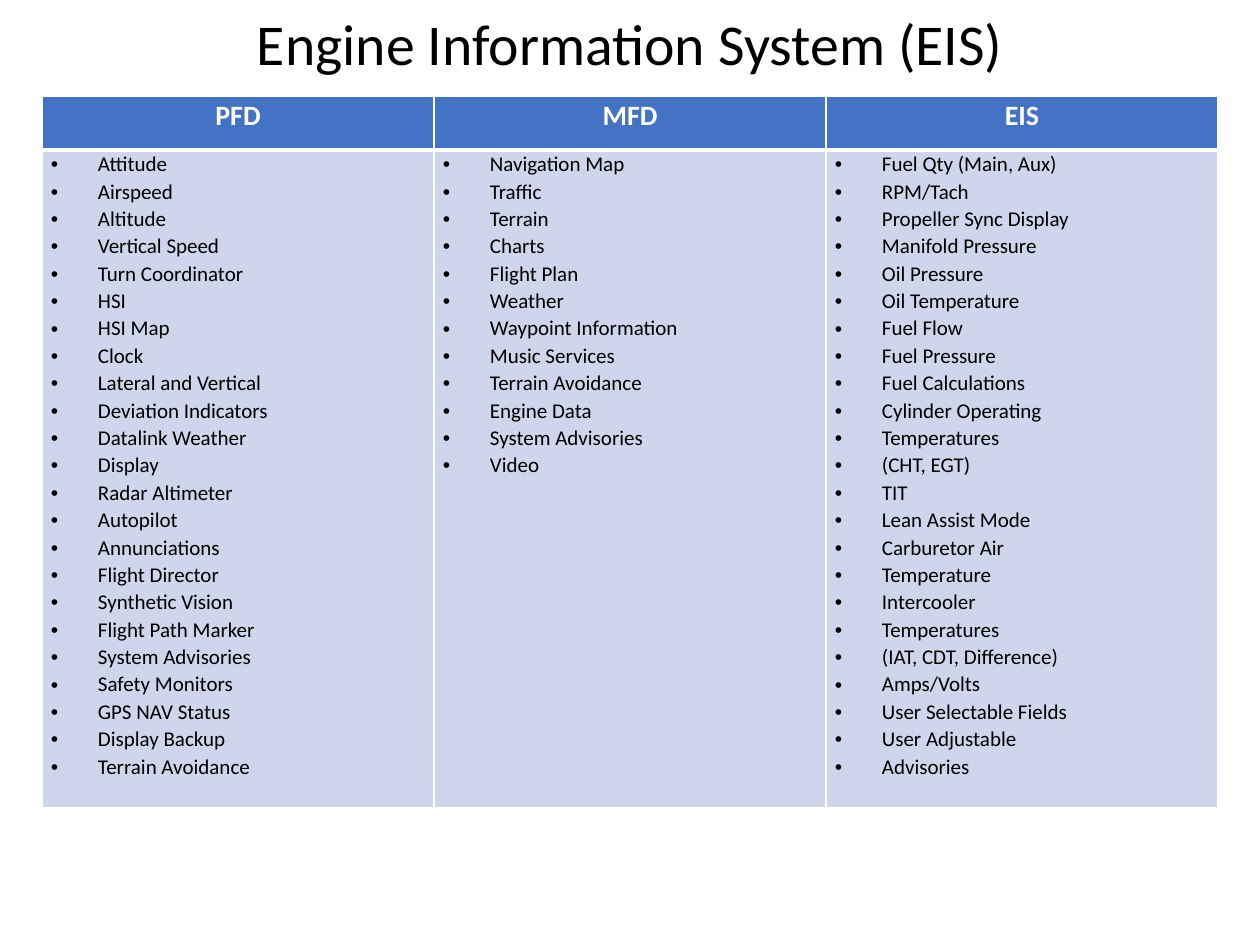
from lxml import etree
from pptx import Presentation
from pptx import util as u
from pptx.dml.color import RGBColor
from pptx.enum import text
from pptx.oxml.ns import qn

PX = 914400 / 126  # EMU in one px
FONT = "Calibri"
COLORS = {"header": "4472C4", "body": "CFD5EA", "white": "FFFFFF", "black": "000000"}

COLUMNS = {
    "PFD": [
        "Attitude", "Airspeed", "Altitude", "Vertical Speed", "Turn Coordinator",
        "HSI", "HSI Map", "Clock", "Lateral and Vertical", "Deviation Indicators",
        "Datalink Weather", "Display", "Radar Altimeter", "Autopilot",
        "Annunciations", "Flight Director", "Synthetic Vision",
        "Flight Path Marker", "System Advisories", "Safety Monitors",
        "GPS NAV Status", "Display Backup", "Terrain Avoidance",
    ],
    "MFD": [
        "Navigation Map", "Traffic", "Terrain", "Charts", "Flight Plan", "Weather",
        "Waypoint Information", "Music Services", "Terrain Avoidance",
        "Engine Data", "System Advisories", "Video",
    ],
    "EIS": [
        "Fuel Qty (Main, Aux)", "RPM/Tach", "Propeller Sync Display",
        "Manifold Pressure", "Oil Pressure", "Oil Temperature", "Fuel Flow",
        "Fuel Pressure", "Fuel Calculations", "Cylinder Operating",
        "Temperatures", "(CHT, EGT)", "TIT", "Lean Assist Mode",
        "Carburetor Air", "Temperature", "Intercooler", "Temperatures",
        "(IAT, CDT, Difference)", "Amps/Volts", "User Selectable Fields",
        "User Adjustable", "Advisories",
    ],
}


def px(length):
    return u.Emu(round(length * PX))


def add_run(paragraph, words, size, color, bold=False):
    run = paragraph.add_run()
    run.text = words
    run.font.name = FONT
    run.font.size = u.Pt(size)
    run.font.bold = bold
    run.font.color.rgb = RGBColor.from_string(COLORS[color])


def add_bullet(paragraph):
    properties = paragraph._p.get_or_add_pPr()
    properties.set("marL", str(px(47)))
    properties.set("indent", str(-px(47)))
    etree.SubElement(properties, qn("a:buFont"), typeface="Arial")
    etree.SubElement(properties, qn("a:buChar"), char="•")


def set_borders(cell, top, bottom):
    properties = cell._tc.get_or_add_tcPr()
    for side, points in {"L": 1, "R": 1, "T": top, "B": bottom}.items():
        line = etree.SubElement(properties, qn(f"a:ln{side}"), w=str(u.Pt(points)))
        fill = etree.SubElement(line, qn("a:solidFill"))
        etree.SubElement(fill, qn("a:srgbClr"), val=COLORS["white"])


def format_cell(cell, fill, top, bottom):
    cell.margin_left = cell.margin_right = px(9)
    cell.margin_top = cell.margin_bottom = 0
    set_borders(cell, top, bottom)
    cell.fill.solid()
    cell.fill.fore_color.rgb = RGBColor.from_string(COLORS[fill])


def fill_header(cell, words):
    format_cell(cell, "header", top=1, bottom=3)
    paragraph = cell.text_frame.paragraphs[0]
    paragraph.alignment = text.PP_ALIGN.CENTER
    paragraph.line_spacing = 1.07
    add_run(paragraph, words, 16, "white", bold=True)


def fill_list(cell, items):
    format_cell(cell, "body", top=3, bottom=1)
    frame = cell.text_frame
    for index, item in enumerate(items):
        paragraph = frame.add_paragraph() if index else frame.paragraphs[0]
        paragraph.line_spacing = 1.07
        add_bullet(paragraph)
        add_run(paragraph, item, 12, "black")


def set_title(slide, words):
    title = slide.shapes.title
    title.left, title.top, title.width, title.height = map(px, (87, -4, 1086, 101))
    frame = title.text_frame
    frame.vertical_anchor = text.MSO_ANCHOR.MIDDLE
    frame.auto_size = text.MSO_AUTO_SIZE.NONE
    paragraph = frame.paragraphs[0]
    paragraph.alignment = text.PP_ALIGN.CENTER
    paragraph.line_spacing = 0.9
    add_run(paragraph, words, 33, "black")


def add_display_table(slide):
    frame = slide.shapes.add_table(2, len(COLUMNS), px(42), px(96), px(1176), px(712))
    table = frame.table
    table.horz_banding = False
    table.rows[0].height, table.rows[1].height = px(54), px(658)
    for index, (heading, items) in enumerate(COLUMNS.items()):
        table.columns[index].width = px(392)
        fill_header(table.cell(0, index), heading)
        fill_list(table.cell(1, index), items)


def main():
    presentation = Presentation()
    presentation.slide_width, presentation.slide_height = px(1260), px(945)
    slide = presentation.slides.add_slide(presentation.slide_layouts[5])  # title only

    # Table first, title in front of it
    add_display_table(slide)
    set_title(slide, "Engine Information System (EIS)")
    slide.shapes._spTree.append(slide.shapes.title._element)

    presentation.save("out.pptx")


if __name__ == "__main__":
    main()
